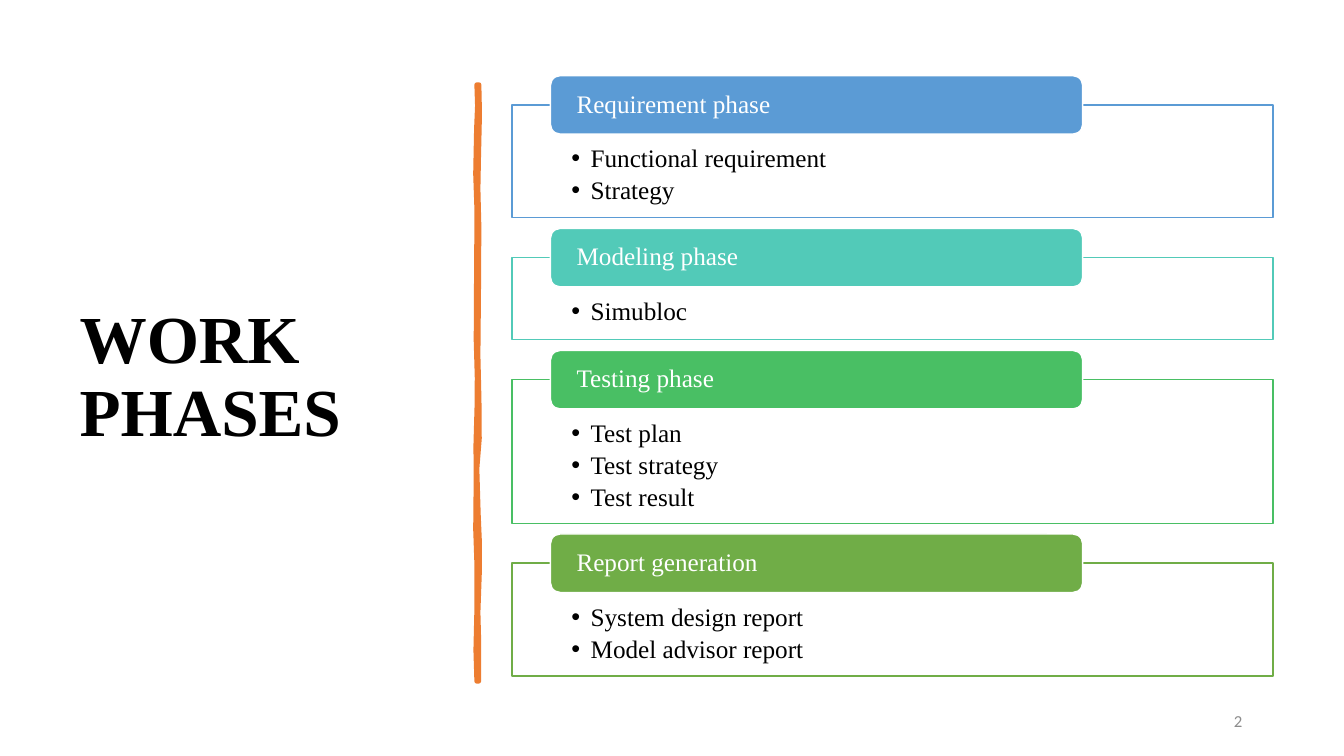
"""Build the work phases slide: a title, a brushed divider and four phase panels."""
from lxml import etree
from pptx import Presentation
from pptx.dml.color import RGBColor
from pptx.enum.shapes import MSO_SHAPE
from pptx.enum.text import MSO_ANCHOR, PP_ALIGN
from pptx.oxml.ns import qn
from pptx.util import Inches, Pt

RECTANGLE, ROUNDED = MSO_SHAPE.RECTANGLE, MSO_SHAPE.ROUNDED_RECTANGLE
TOP, MIDDLE = MSO_ANCHOR.TOP, MSO_ANCHOR.MIDDLE
LEFT, RIGHT = PP_ALIGN.LEFT, PP_ALIGN.RIGHT

THEME = {
    "white": RGBColor.from_string("FFFFFF"),
    "brush": RGBColor.from_string("ED7D31"),
    "title": {"name": "Times New Roman", "size": Pt(48), "bold": True,
              "color": RGBColor.from_string("000000")},
    "header": {"name": "Times New Roman", "size": Pt(18),
               "color": RGBColor.from_string("FFFFFF")},
    "bullet": {"name": "Times New Roman", "size": Pt(18),
               "color": RGBColor.from_string("000000")},
    "number": {"name": "Calibri", "size": Pt(12),
               "color": RGBColor.from_string("8C8C8C")},
}

PHASES = [
    ("Requirement phase", "5B9BD5", ["Functional requirement", "Strategy"]),
    ("Modeling phase", "52CAB8", ["Simubloc"]),
    ("Testing phase", "49BF64", ["Test plan", "Test strategy", "Test result"]),
    ("Report generation", "70AD47", ["System design report", "Model advisor report"]),
]

deck = Presentation()
deck.slide_width, deck.slide_height = Inches(13.33), Inches(7.5)
COLUMN, ROW = deck.slide_width / 100, deck.slide_height / 100
slide = deck.slides.add_slide(deck.slide_layouts[6])


def grid(left, top, width, height):
    """Turn columns and rows into slide lengths."""
    return int(left * COLUMN), int(top * ROW), int(width * COLUMN), int(height * ROW)


def write(holder, lines, style, anchor, insets=None, align=LEFT, leading=0.9, bulleted=False):
    """Write styled paragraphs into a shape or text box."""
    frame = holder.text_frame
    frame.word_wrap, frame.vertical_anchor = True, anchor
    if insets:
        (frame.margin_left, frame.margin_top,
         frame.margin_right, frame.margin_bottom) = grid(*insets)
    for index, line in enumerate(lines):
        paragraph = frame.paragraphs[0] if index == 0 else frame.add_paragraph()
        paragraph.text, paragraph.alignment = line, align
        paragraph.line_spacing = leading
        if bulleted:
            paragraph.space_after = Pt(3.4)
            properties = paragraph._p.get_or_add_pPr()
            properties.set("marL", str(Inches(0.19)))
            properties.set("indent", str(-Inches(0.19)))
            etree.SubElement(properties, qn("a:buFont"), typeface="Arial")
            etree.SubElement(properties, qn("a:buChar"), char="•")
        for attribute, value in style.items():
            if attribute == "color":
                paragraph.font.color.rgb = value
            else:
                setattr(paragraph.font, attribute, value)


title = slide.shapes.add_textbox(*grid(5.18, 9.33, 28.05, 81.47))
write(title, ["WORK PHASES"], THEME["title"], MIDDLE)

RIGHT_EDGE = [(35.65, 11.2), (35.7, 15), (35.62, 21), (35.58, 25), (35.65, 30), (35.62, 39),
              (35.58, 47), (35.66, 53), (35.68, 58), (35.5, 62), (35.6, 68), (35.7, 72),
              (35.68, 76), (35.58, 81), (35.64, 85), (35.63, 90.13)]
LEFT_EDGE = [(35.47, 90.13), (35.4, 86), (35.48, 80), (35.48, 75), (35.38, 70), (35.42, 63),
             (35.4, 59), (35.48, 54), (35.5, 50), (35.42, 45), (35.45, 35), (35.48, 28),
             (35.38, 23), (35.45, 17), (35.52, 14), (35.47, 11.2)]
outline = [(x * COLUMN, y * ROW) for x, y in RIGHT_EDGE + LEFT_EDGE]
builder = slide.shapes.build_freeform(*outline[0])
builder.add_line_segments(outline[1:], close=True)
divider = builder.convert_to_shape()
divider.shadow.inherit = False
divider.fill.solid()
divider.fill.fore_color.rgb = divider.line.color.rgb = THEME["brush"]
divider.line.width = Pt(3.25)

PANEL_LEFT, PANEL_WIDTH = 38.1, 56.63
PANEL_BASE, BULLET_ROWS, PANEL_GAP = 6.8, 4.07, 5.27
TAB_LEFT, TAB_WIDTH, TAB_HEIGHT = 40.96, 39.6, 7.73
panel_top = 13.87
for heading, accent, bullets in PHASES:
    accent_color = RGBColor.from_string(accent)
    panel_height = PANEL_BASE + BULLET_ROWS * len(bullets)
    panel = slide.shapes.add_shape(
        RECTANGLE, *grid(PANEL_LEFT, panel_top, PANEL_WIDTH, panel_height))
    tab = slide.shapes.add_shape(
        ROUNDED, *grid(TAB_LEFT, panel_top - TAB_HEIGHT / 2, TAB_WIDTH, TAB_HEIGHT))
    for part, fill, line in ((panel, THEME["white"], accent_color),
                             (tab, accent_color, THEME["white"])):
        part.shadow.inherit = False
        part.fill.solid()
        part.fill.fore_color.rgb = fill
        part.line.color.rgb = line
        part.line.width = Pt(1)
    panel_fill = panel._element.spPr.find(qn("a:solidFill"))
    etree.SubElement(panel_fill[0], qn("a:alpha"), val="90000")
    write(panel, bullets, THEME["bullet"], TOP, (4.42, 5.47, 4.42, 1.87), bulleted=True)
    write(tab, [heading], THEME["header"], MIDDLE, (1.73, 0, 1.73, 0))
    panel_top += panel_height + PANEL_GAP

page_number = slide.shapes.add_textbox(*grid(70.67, 92.67, 22.5, 5.33))
write(page_number, ["2"], THEME["number"], MIDDLE, align=RIGHT, leading=1.0)

deck.save("out.pptx")
